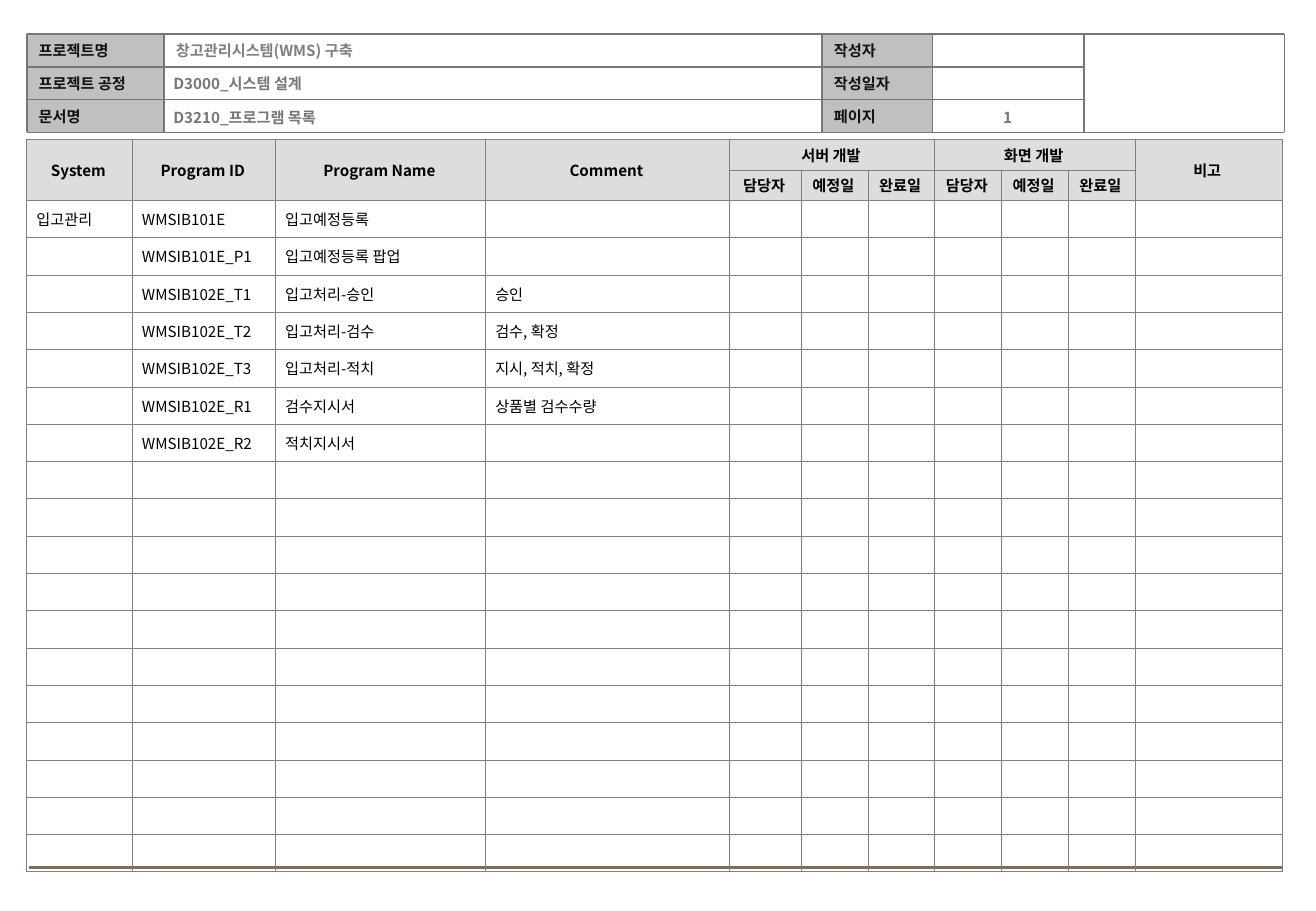
from lxml.etree import SubElement
from pptx import Presentation
from pptx.dml.color import RGBColor
from pptx.enum.shapes import MSO_CONNECTOR, MSO_SHAPE
from pptx.enum.text import MSO_ANCHOR as Anchor, MSO_AUTO_SIZE as AutoSize, PP_ALIGN as Align
from pptx.oxml.ns import qn
from pptx.util import Inches, Pt

THEME = {
    "font": "Noto Sans CJK KR", "size": 9,
    "label": "111111", "title": "7F7F7F", "value": "777777", "body": "000000",
    "label_fill": "C0C0C0", "head_fill": "DDDDDD",
    "frame": "777777", "frame_width": 1,
    "grid": "808080", "grid_width": 0.45,
    "footer": "7A6F54", "footer_width": 1.75,
}

# Document header
PROJECT_LABELS = ["프로젝트명", "프로젝트 공정", "문서명"]
AUTHOR_LABELS = ["작성자", "작성일자", "페이지"]
PROJECT_NAME = "창고관리시스템(WMS) 구축"
STAGE_VALUES = ["D3000_시스템 설계", "D3210_프로그램 목록"]
PAGE_NUMBER = "1"

# Program list
MAIN_HEADS = {0: "System", 1: "Program ID", 2: "Program Name", 3: "Comment", 10: "비고"}
GROUP_HEADS = {4: "서버 개발", 7: "화면 개발"}
STEP_HEADS = ["담당자", "예정일", "완료일"]
PROGRAMS = [
    ("입고관리", "WMSIB101E", "입고예정등록", ""),
    ("", "WMSIB101E_P1", "입고예정등록 팝업", ""),
    ("", "WMSIB102E_T1", "입고처리-승인", "승인"),
    ("", "WMSIB102E_T2", "입고처리-검수", "검수, 확정"),
    ("", "WMSIB102E_T3", "입고처리-적치", "지시, 적치, 확정"),
    ("", "WMSIB102E_R1", "검수지시서", "상품별 검수수량"),
    ("", "WMSIB102E_R2", "적치지시서", ""),
]

# Layout in inches
SLIDE = (10.84, 7.5)
LEFT, TOP, RIGHT, BAND = 0.22, 0.28, 10.58, 0.27
VALUE_X, AUTHOR_X, ENTRY_X, STAMP_X = 1.35, 6.77, 7.68, 8.93
BOTTOM = TOP + 3 * BAND
FOOTER = (0.24, 7.14, 10.56, 7.14)
TABLE_TOP, TABLE_BOTTOM = 1.15, 7.18
COLUMNS = [0.87, 1.18, 1.73, 2.01, 0.59] + [0.55] * 5 + [1.21]
HEAD_ROWS, BODY_ROWS, HEAD_HEIGHT = 2, 18, 0.25
BODY_HEIGHT = (TABLE_BOTTOM - TABLE_TOP - HEAD_ROWS * HEAD_HEIGHT) / BODY_ROWS


def color(name):
    return RGBColor.from_string(THEME[name])


def write(frame, text, ink, bold=True, align=Align.LEFT, before=2.2):
    paragraph = frame.paragraphs[0]
    paragraph.alignment = align
    paragraph.space_before = Pt(before)
    run = paragraph.add_run()
    run.text = text
    style = {"name": THEME["font"], "size": Pt(THEME["size"]), "bold": bold}
    for key, setting in style.items():
        setattr(run.font, key, setting)
    run.font.color.rgb = color(ink)
    SubElement(run.font._element, qn("a:ea"), typeface=THEME["font"])


def add_line(slide, x1, y1, x2, y2, kind="frame"):
    line = slide.shapes.add_connector(MSO_CONNECTOR.STRAIGHT, *map(Inches, (x1, y1, x2, y2)))
    line.line.color.rgb = color(kind)
    line.line.width = Pt(THEME[kind + "_width"])
    SubElement(line._element.spPr, qn("a:effectLst"))


def add_label(slide, text, x, y, width):
    label = slide.shapes.add_shape(MSO_SHAPE.RECTANGLE, *map(Inches, (x, y, width, BAND)))
    label.shadow.inherit = False
    label.fill.solid()
    label.fill.fore_color.rgb = color("label_fill")
    label.line.fill.background()
    label.text_frame.vertical_anchor = Anchor.MIDDLE
    write(label.text_frame, text, "label")


def add_value(slide, text, box, ink="value", anchor=Anchor.TOP, grow=True, **style):
    frame = slide.shapes.add_textbox(*map(Inches, box)).text_frame
    frame.word_wrap = True
    frame.vertical_anchor = anchor
    frame.auto_size = AutoSize.SHAPE_TO_FIT_TEXT if grow else AutoSize.NONE
    write(frame, text, ink, **style)


def add_document_header(slide):
    for row, (project, author) in enumerate(zip(PROJECT_LABELS, AUTHOR_LABELS)):
        y = TOP + row * BAND
        add_label(slide, project, LEFT, y, VALUE_X - LEFT)
        add_label(slide, author, AUTHOR_X, y, ENTRY_X - AUTHOR_X)
    for x in (VALUE_X, AUTHOR_X, ENTRY_X, STAMP_X, LEFT, RIGHT):
        add_line(slide, x, TOP, x, BOTTOM)
    for row, end in enumerate((RIGHT, STAMP_X, STAMP_X, RIGHT)):
        y = TOP + row * BAND
        add_line(slide, LEFT, y, end, y)

    add_value(slide, PROJECT_NAME, (VALUE_X, TOP, AUTHOR_X - VALUE_X, BAND),
              ink="title", anchor=Anchor.MIDDLE, grow=False)
    for row, stage in enumerate(STAGE_VALUES):
        add_value(slide, stage, (1.33, 0.56 + row * 0.28, 4.8, 0.25), before=5.6)
    add_value(slide, PAGE_NUMBER, (7.67, 0.84, 1.26, 0.27), align=Align.CENTER, before=0)


def format_cell(cell, is_head):
    margins = {"margin_left": 0.08, "margin_right": 0.1, "margin_top": 0.02, "margin_bottom": 0.02}
    for key, inches in margins.items():
        setattr(cell, key, Inches(inches))
    cell.vertical_anchor = Anchor.MIDDLE
    properties = cell._tc.get_or_add_tcPr()
    for side in ("lnL", "lnR", "lnT", "lnB"):
        border = SubElement(properties, qn("a:" + side), w=str(Pt(THEME["grid_width"])))
        SubElement(SubElement(border, qn("a:solidFill")), qn("a:srgbClr"), val=THEME["grid"])
    if is_head:
        cell.fill.solid()
        cell.fill.fore_color.rgb = color("head_fill")
    else:
        cell.fill.background()


def program_texts():
    """Map (row, column) to the text of each filled cell."""
    texts = {(0, column): head for column, head in (MAIN_HEADS | GROUP_HEADS).items()}
    for start in GROUP_HEADS:
        texts |= {(1, start + step): head for step, head in enumerate(STEP_HEADS)}
    for row, program in enumerate(PROGRAMS, HEAD_ROWS):
        texts |= {(row, column): text for column, text in enumerate(program) if text}
    return texts


def add_program_table(slide):
    heights = [HEAD_HEIGHT] * HEAD_ROWS + [BODY_HEIGHT] * BODY_ROWS
    box = (LEFT, TABLE_TOP, sum(COLUMNS), sum(heights))
    table = slide.shapes.add_table(len(heights), len(COLUMNS), *map(Inches, box)).table
    table.first_row = table.horz_banding = False
    for column, width in zip(table.columns, COLUMNS):
        column.width = Inches(width)
    for row, height in zip(table.rows, heights):
        row.height = Inches(height)

    texts = program_texts()
    for row in range(len(heights)):
        is_head = row < HEAD_ROWS
        for column in range(len(COLUMNS)):
            cell = table.cell(row, column)
            format_cell(cell, is_head)
            if (row, column) in texts:
                write(cell.text_frame, texts[row, column], "body", bold=is_head,
                      align=Align.CENTER if is_head else Align.LEFT)
            else:
                SubElement(cell.text_frame.paragraphs[0]._p, qn("a:endParaRPr"),
                           sz=str(THEME["size"] * 100))
    for column in MAIN_HEADS:
        table.cell(0, column).merge(table.cell(1, column))
    for start in GROUP_HEADS:
        table.cell(0, start).merge(table.cell(0, start + len(STEP_HEADS) - 1))


def main():
    deck = Presentation()
    deck.slide_width, deck.slide_height = map(Inches, SLIDE)
    slide = deck.slides.add_slide(deck.slide_layouts[6])
    add_line(slide, *FOOTER, kind="footer")
    add_document_header(slide)
    add_program_table(slide)
    deck.save("out.pptx")


if __name__ == "__main__":
    main()
